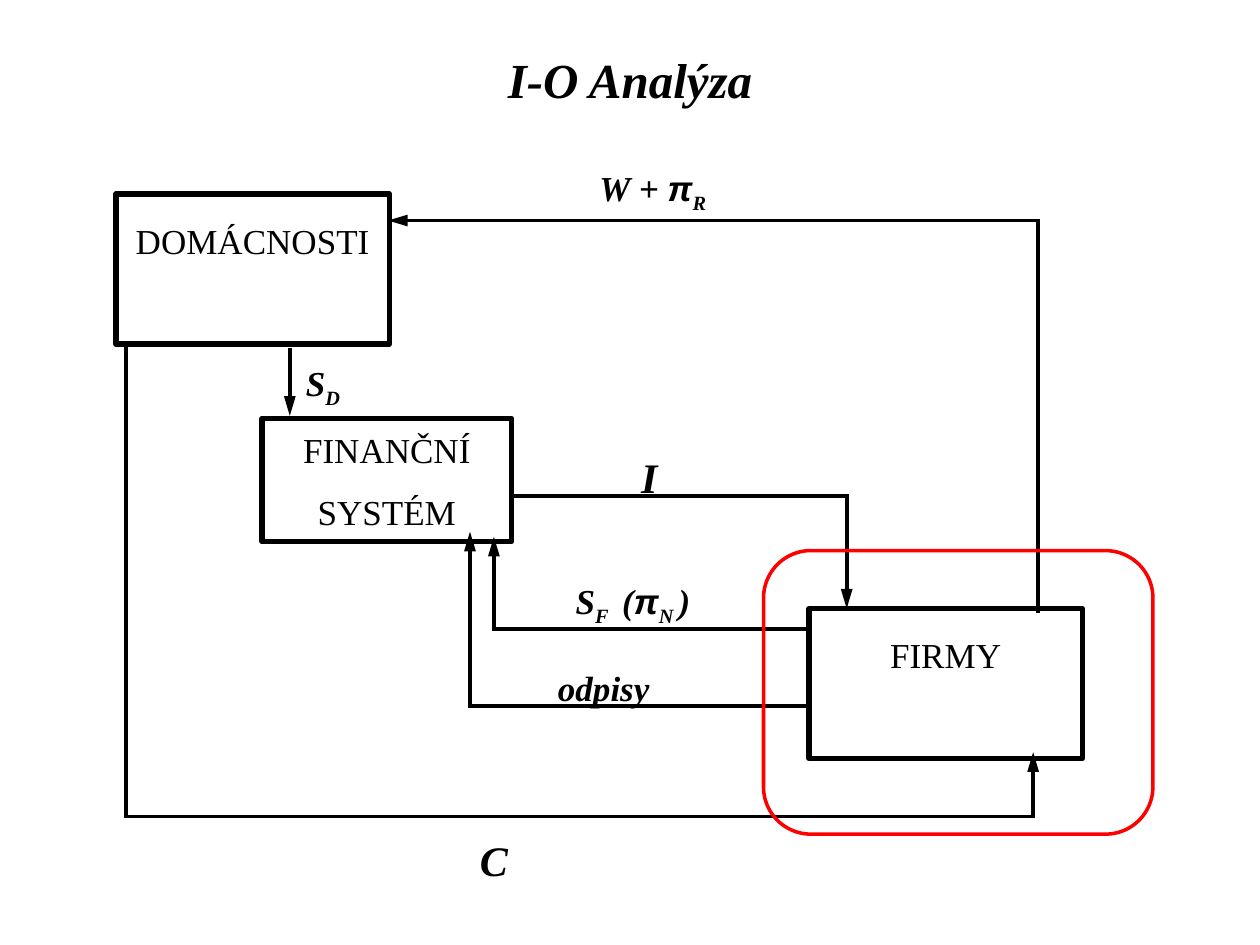
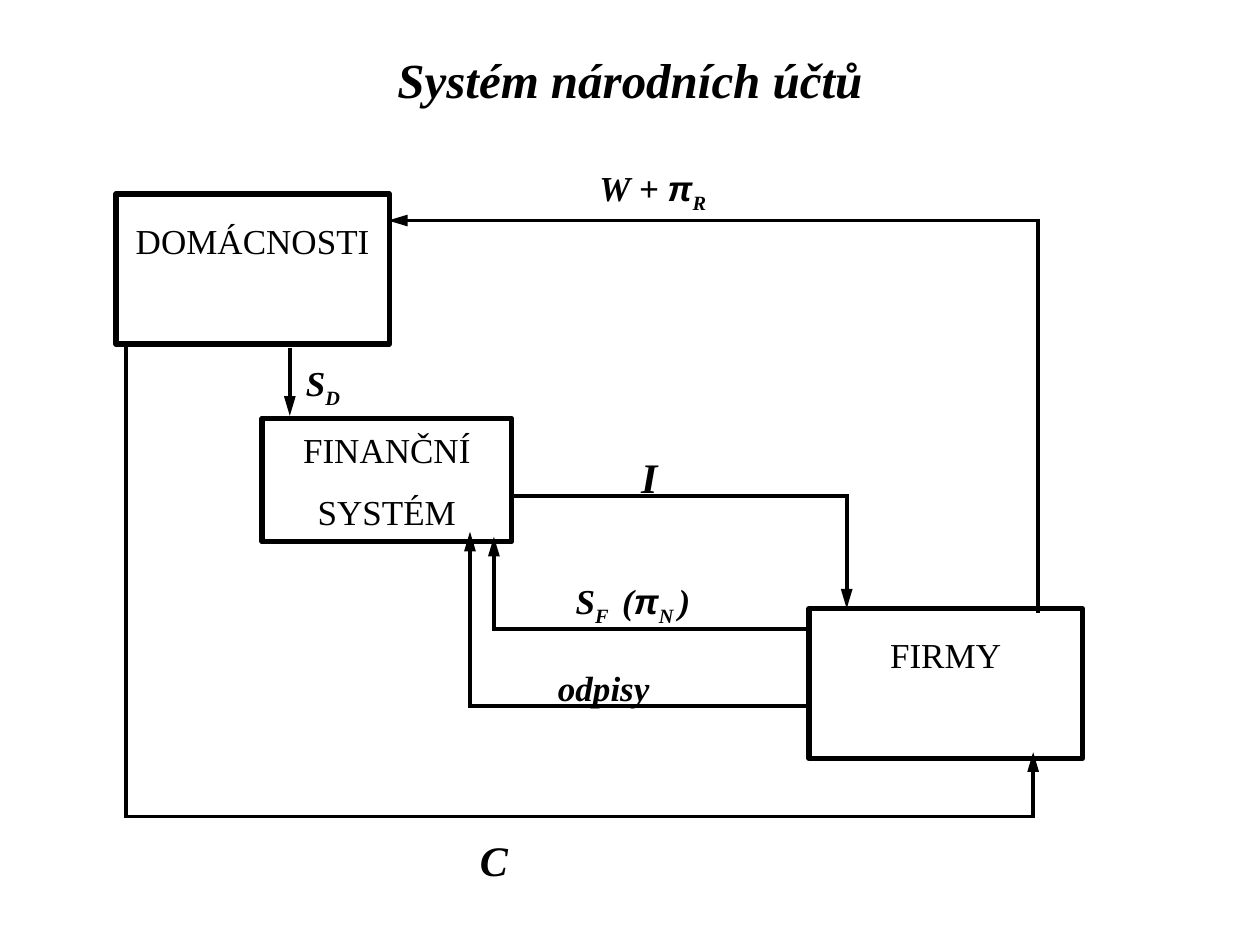
from dataclasses import dataclass
from itertools import pairwise

from lxml import etree
from pptx import Presentation
from pptx.dml.color import RGBColor
from pptx.enum.shapes import MSO_CONNECTOR, MSO_SHAPE
from pptx.enum.text import MSO_ANCHOR, PP_ALIGN
from pptx.oxml.ns import qn
from pptx.util import Inches, Pt

STRAIGHT = MSO_CONNECTOR.STRAIGHT
RECTANGLE, ROUNDED = MSO_SHAPE.RECTANGLE, MSO_SHAPE.ROUNDED_RECTANGLE
TOP, MIDDLE = MSO_ANCHOR.TOP, MSO_ANCHOR.MIDDLE
LEFT, CENTER = PP_ALIGN.LEFT, PP_ALIGN.CENTER

BLACK, RED = "000000", "FF0000"
SERIF, SANS = "Times New Roman", "Arial"
SECTOR_LINE, FLOW_LINE, FOCUS_LINE = 3, 2.25, 2
PARAGRAPH_GAP = Pt(11.5)
TITLE_AREA = (0.75, 0, 8.5, 1.25)
FIRMS_FOCUS = (6.06, 4.37, 3.09, 2.25)

Area = tuple[float, float, float, float]
Point = tuple[float, float]


@dataclass(frozen=True)
class Symbol:
    text: str
    font: str = SERIF
    subscript: bool = False


@dataclass(frozen=True)
class Sector:
    area: Area
    lines: tuple[str, ...]
    top_inset: float


@dataclass(frozen=True)
class Label:
    area: Area
    symbols: tuple[Symbol, ...]
    size: int = 20


@dataclass(frozen=True)
class Page:
    title: str
    firms_in_focus: bool = False


SECTORS = (
    Sector((0.92, 1.54, 2.17, 1.19), ("DOMÁCNOSTI",), 0.2),
    Sector((6.42, 4.83, 2.17, 1.19), ("FIRMY",), 0.2),
    Sector((2.08, 3.32, 1.98, 0.98), ("FINANČNÍ", "SYSTÉM"), 0.08),
)

# Each route runs from its source sector to the arrowhead.
FLOWS: tuple[tuple[Point, ...], ...] = (
    ((8.24, 4.85), (8.24, 1.75), (3.08, 1.75)),
    ((1, 2.72), (1, 6.48), (8.2, 6.48), (8.2, 5.97)),
    ((2.3, 2.76), (2.3, 3.3)),
    ((4.08, 3.94), (6.72, 3.94), (6.72, 4.83)),
    ((6.43, 5.6), (3.73, 5.6), (3.73, 4.22)),
    ((6.39, 4.99), (3.92, 4.99), (3.92, 4.26)),
)

PI = Symbol("π", SANS)
LABELS = (
    Label((4.66, 1.24, 1.4, 0.43), (Symbol("W + "), PI, Symbol("R", subscript=True))),
    Label((3.71, 6.54, 0.47, 0.5), (Symbol("C"),), 24),
    Label((2.33, 2.79, 0.6, 0.43), (Symbol("S"), Symbol("D", subscript=True))),
    Label((4.99, 3.5, 0.47, 0.5), (Symbol("I"),), 24),
    Label((4.47, 4.52, 1.4, 0.43),
          (Symbol("S"), Symbol("F ", subscript=True), Symbol(" ("), PI,
           Symbol("N ", subscript=True), Symbol(")"))),
    Label((4.33, 5.21, 1.72, 0.43), (Symbol("odpisy"),)),
)

PAGES = (
    Page("I-O Analýza", firms_in_focus=True),
    Page("Systém národních účtů"),
)


def color(code: str) -> RGBColor:
    return RGBColor.from_string(code)


def inches(lengths: tuple[float, ...]) -> list[Inches]:
    return [Inches(length) for length in lengths]


def set_line(line, code: str, width: float) -> None:
    line.color.rgb = color(code)
    line.width = Pt(width)


def set_frame(frame, top_inset: float, anchor) -> None:
    settings = {
        "word_wrap": True,
        "vertical_anchor": anchor,
        "margin_left": Inches(0.1),
        "margin_right": Inches(0.1),
        "margin_top": Inches(top_inset),
        "margin_bottom": Inches(0.05),
    }
    for name, value in settings.items():
        setattr(frame, name, value)


def write_symbols(paragraph, symbols: tuple[Symbol, ...], size: int,
                  emphasis: bool, alignment) -> None:
    """Fill a paragraph; emphasis means bold italic."""
    paragraph.alignment = alignment
    for symbol in symbols:
        run = paragraph.add_run()
        run.text = symbol.text
        settings = {"name": symbol.font, "size": Pt(size),
                    "bold": emphasis, "italic": emphasis}
        for name, value in settings.items():
            setattr(run.font, name, value)
        run.font.color.rgb = color(BLACK)
        if symbol.subscript:
            run._r.get_or_add_rPr().set("baseline", "-25000")


def add_outline(slide, preset, area: Area, code: str, width: float):
    outline = slide.shapes.add_shape(preset, *inches(area))
    outline.shadow.inherit = False
    outline.fill.background()
    set_line(outline.line, code, width)
    return outline


def add_sector(slide, sector: Sector) -> None:
    frame = add_outline(slide, RECTANGLE, sector.area, BLACK, SECTOR_LINE).text_frame
    set_frame(frame, sector.top_inset, TOP)
    for index, line in enumerate(sector.lines):
        paragraph = frame.add_paragraph() if index else frame.paragraphs[0]
        if index:
            paragraph.space_before = PARAGRAPH_GAP
        write_symbols(paragraph, (Symbol(line),), 20, False, CENTER)


def add_label(slide, label: Label, top_inset: float = 0.08,
              anchor=TOP, alignment=LEFT) -> None:
    frame = slide.shapes.add_textbox(*inches(label.area)).text_frame
    set_frame(frame, top_inset, anchor)
    write_symbols(frame.paragraphs[0], label.symbols, label.size, True, alignment)


def add_flow(slide, route: tuple[Point, ...]) -> None:
    """Draw a route with square corners and an arrowhead at its last point."""
    for start, end in pairwise(route):
        segment = slide.shapes.add_connector(STRAIGHT, *inches(start + end))
        set_line(segment.line, BLACK, FLOW_LINE)
        properties = segment._element.spPr
        etree.SubElement(properties, qn("a:effectLst"))
        stroke = properties.find(qn("a:ln"))
        if end == route[-1]:
            etree.SubElement(stroke, qn("a:tailEnd"), type="triangle", w="med", len="lg")
        else:
            stroke.set("cap", "sq")


def add_page(deck, page: Page) -> None:
    slide = deck.slides.add_slide(deck.slide_layouts[6])
    add_label(slide, Label(TITLE_AREA, (Symbol(page.title),), 28), 0.05, MIDDLE, CENTER)
    for sector in SECTORS:
        add_sector(slide, sector)
    for route in FLOWS:
        add_flow(slide, route)
    for label in LABELS:
        add_label(slide, label)
    if page.firms_in_focus:
        add_outline(slide, ROUNDED, FIRMS_FOCUS, RED, FOCUS_LINE)


def main() -> None:
    deck = Presentation()
    deck.slide_width, deck.slide_height = Inches(10), Inches(7.5)
    for page in PAGES:
        add_page(deck, page)
    deck.save("out.pptx")


if __name__ == "__main__":
    main()
